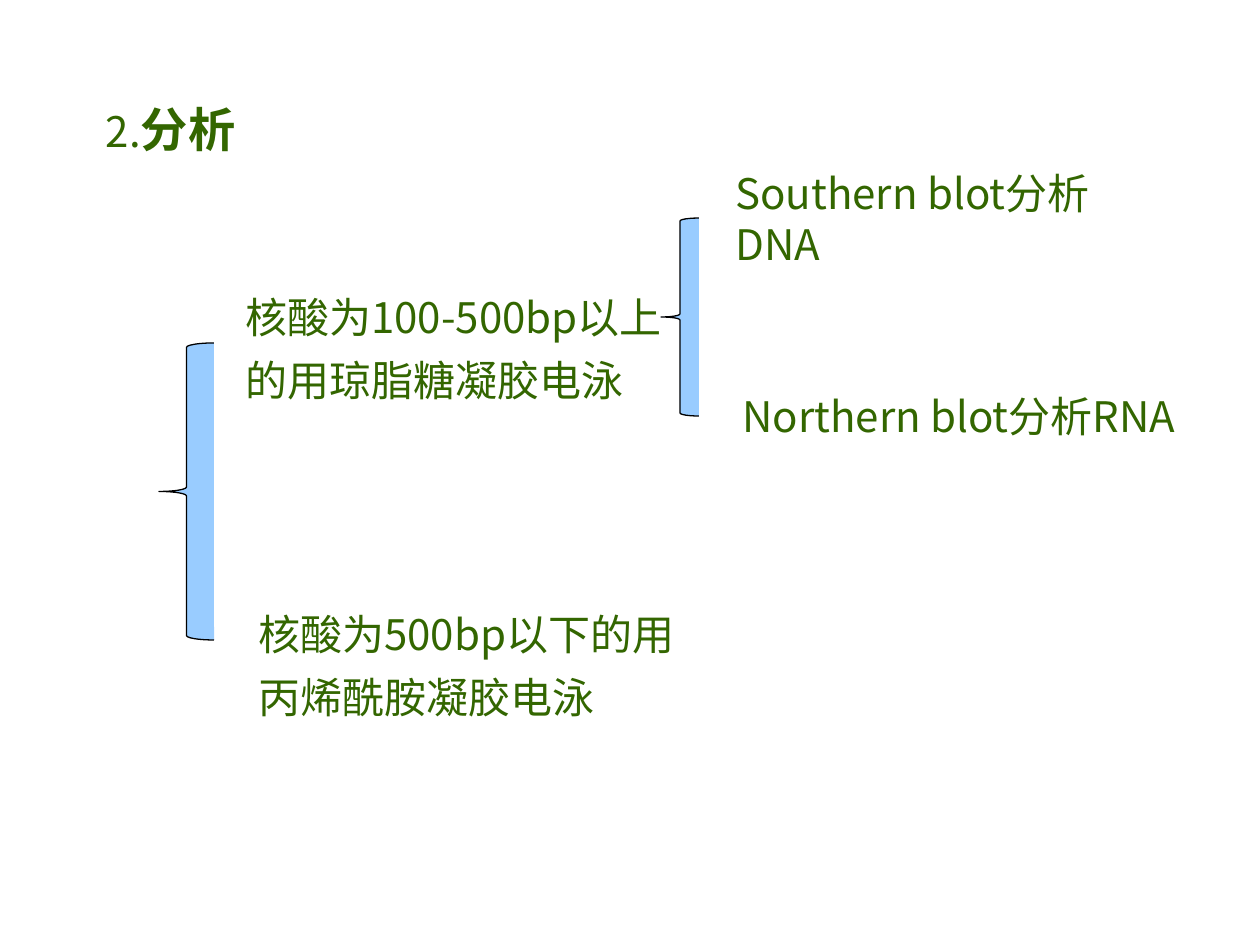
from dataclasses import dataclass

from lxml import etree
from pptx import Presentation
from pptx import util as u
from pptx.dml.color import RGBColor
from pptx.enum import shapes, text
from pptx.oxml.ns import qn

PX = u.Inches(1) // 126


@dataclass(frozen=True)
class Theme:
    font: str = "Noto Sans CJK SC"
    ink: str = "336600"
    brace_fill: str = "99CCFF"
    brace_line: str = "000000"
    body: int = 24
    heading: int = 27


THEME = Theme()

# Boxes are left, top, width, height in px
HEADING = ((84, 88, 422, 69), " 2.", "分析")
METHODS = [
    ((233, 268, 459, 131), "核酸为100-500bp以上的用琼脂糖凝胶电泳"),
    ((246, 585, 459, 131), "核酸为500bp以下的用丙烯酰胺凝胶电泳"),
]
BLOTS = [
    ((723, 156, 459, 64), "Southern blot分析DNA"),
    ((730, 379, 459, 64), "Northern blot分析RNA"),
]
BRACES = [(159, 343, 55, 297), (661, 218, 38, 198)]


def emu(box):
    return [n * PX for n in box]


def add_run(paragraph, content, size=THEME.body, bold=False):
    run = paragraph.add_run()
    run.text = content
    run.font.size = u.Pt(size)
    run.font.bold = bold
    run.font.name = THEME.font
    run.font.color.rgb = RGBColor.from_string(THEME.ink)
    east_asian = etree.SubElement(run.font._element, qn("a:ea"))
    east_asian.set("typeface", THEME.font)


def add_text(slide, box, content, line_pt, **run_format):
    """Add a wrapped text box with fixed line spacing; return its paragraph."""
    frame = slide.shapes.add_textbox(*emu(box)).text_frame
    frame.word_wrap = True
    frame.auto_size = text.MSO_AUTO_SIZE.NONE
    frame.margin_top = 11 * PX
    paragraph = frame.paragraphs[0]
    paragraph.line_spacing = u.Pt(line_pt)
    add_run(paragraph, content, **run_format)
    return paragraph


def add_brace(slide, box):
    brace = slide.shapes.add_shape(shapes.MSO_SHAPE.LEFT_BRACE, *emu(box))
    brace.shadow.inherit = False
    brace.adjustments[0] = 0.08
    brace.adjustments[1] = 0.5
    brace.fill.solid()
    brace.fill.fore_color.rgb = RGBColor.from_string(THEME.brace_fill)
    brace.line.color.rgb = RGBColor.from_string(THEME.brace_line)
    brace.line.width = u.Pt(0.75)


def main():
    deck = Presentation()
    deck.slide_width, deck.slide_height = 1260 * PX, 945 * PX
    slide = deck.slides.add_slide(deck.slide_layouts[6])

    box, number, title = HEADING
    heading = add_text(slide, box, number, line_pt=33)
    add_run(heading, title, size=THEME.heading, bold=True)

    for box in BRACES:
        add_brace(slide, box)
    for branches, line_pt in ((METHODS, 36), (BLOTS, 29)):
        for box, content in branches:
            add_text(slide, box, content, line_pt)

    deck.save("out.pptx")


if __name__ == "__main__":
    main()
